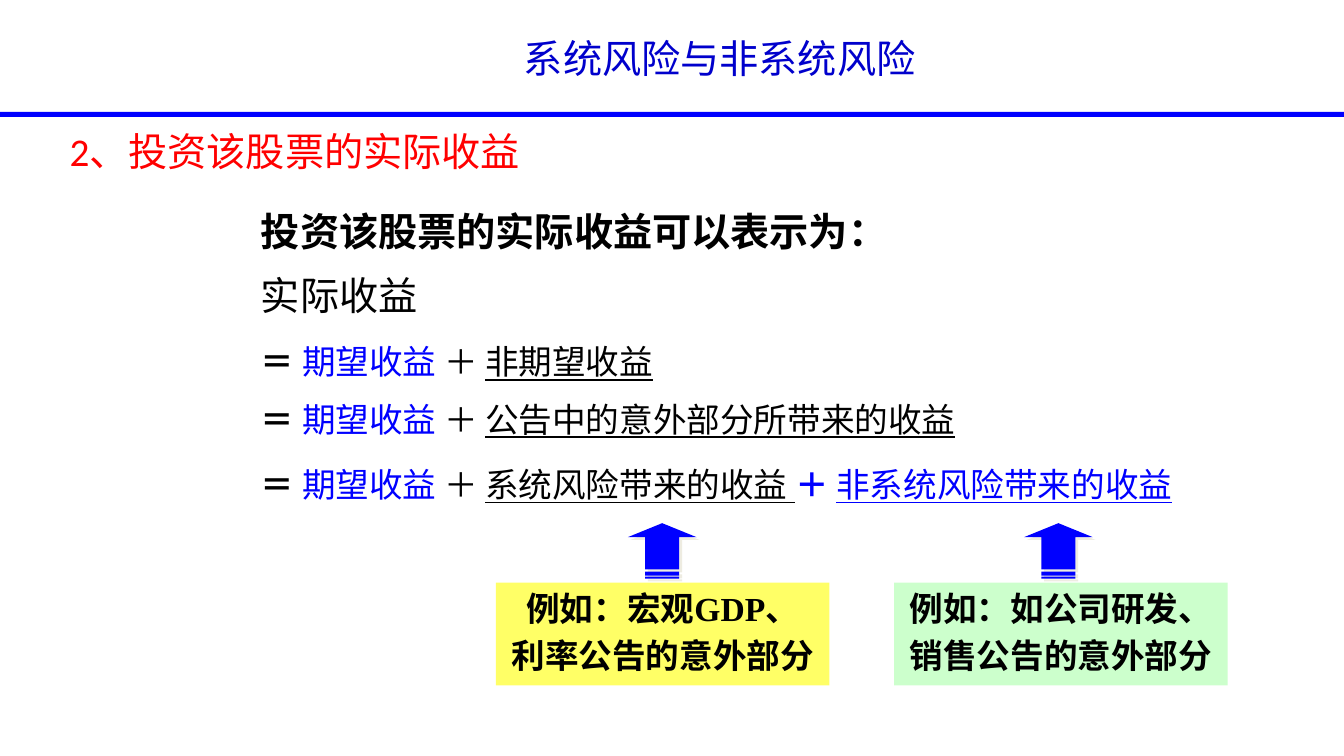
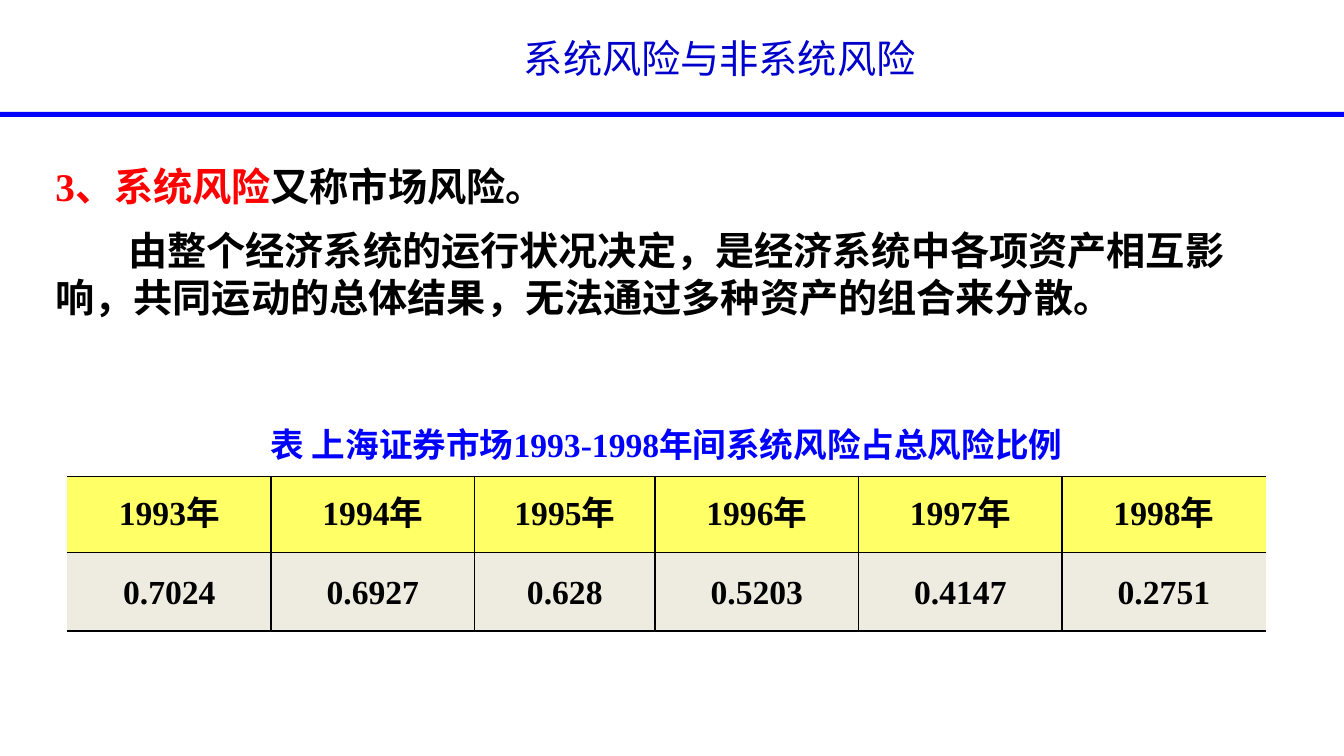
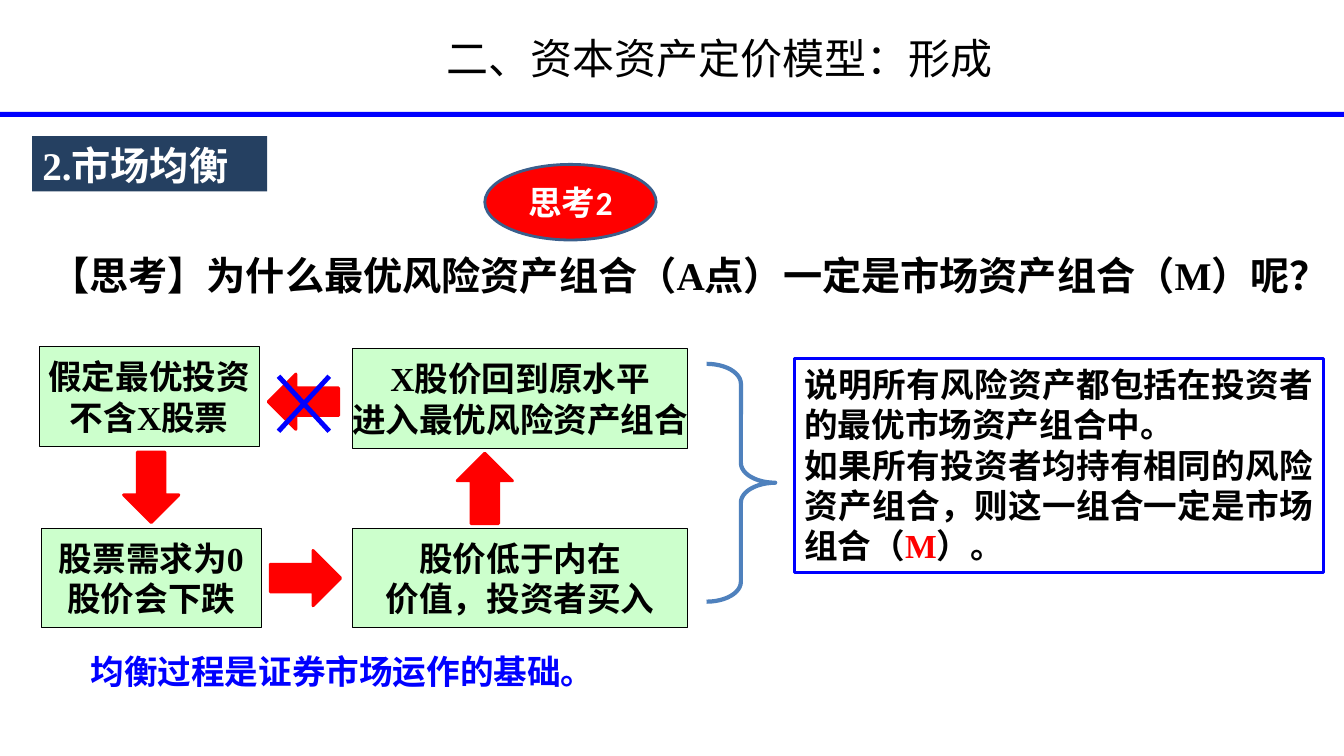
from lxml import etree
from pptx import Presentation
from pptx.dml.color import RGBColor
from pptx.enum import shapes as sh, text as tx
from pptx.oxml import ns
from pptx.util import Pt

BLUE = RGBColor(0x00, 0x00, 0xFF)
TITLE_BLUE = RGBColor(0x00, 0x00, 0xCC)
BRACE_BLUE = RGBColor(0x4F, 0x81, 0xBD)
OVAL_EDGE = RGBColor(0x3A, 0x5F, 0x8C)
NAVY = RGBColor(0x25, 0x40, 0x61)
RED = RGBColor(0xFF, 0x00, 0x00)
BLACK = RGBColor(0x00, 0x00, 0x00)
WHITE = RGBColor(0xFF, 0xFF, 0xFF)
GREEN = RGBColor(0xCC, 0xFF, 0xCC)
YELLOW = RGBColor(0xFF, 0xFF, 0x66)
BEIGE = RGBColor(0xEE, 0xEC, 0xE1)

SANS, SERIF, CJK = "Calibri", "Times New Roman", "Noto Sans CJK SC"
LINE = 1.2  # line height in relation to the text size
CENTER, JUSTIFY = tx.PP_ALIGN.CENTER, tx.PP_ALIGN.JUSTIFY
TOP, MIDDLE = tx.MSO_ANCHOR.TOP, tx.MSO_ANCHOR.MIDDLE
RECT = sh.MSO_SHAPE.RECTANGLE
NO_GRID_STYLE = "{2D5ABB26-0587-4C30-8999-92F81FD0307C}"

# ---- Content: a paragraph is (runs, options), a run is (text, options) ----
RISK_TITLE = "系统风险与非系统风险"
MODEL_TITLE = "二、资本资产定价模型：形成"

EQUALS = ("＝ ", dict(bold=True))
EXPECTED = ("期望收益", dict(color=BLUE))
PLUS = (" ＋ ", {})
UNDER = dict(underline=True)
RETURN_LINES = [
    ([("投资该股票的实际收益可以表示为：", dict(bold=True))], dict(size=28, scale=0.8)),
    ([("实际收益", {})], dict(size=28, scale=1.2, before=5.6)),
    ([EQUALS, EXPECTED, PLUS, ("非期望收益", UNDER)], dict(scale=1.4, before=4.8)),
    ([EQUALS, EXPECTED, PLUS, ("公告中的意外部分所带来的收益", UNDER)], dict(before=12)),
    ([EQUALS, EXPECTED, PLUS, ("系统风险带来的收益 ", UNDER),
      ("＋ ", dict(color=BLUE, bold=True)),
      ("非系统风险带来的收益", dict(color=BLUE, underline=True))], dict(before=18)),
]
EXAMPLES = [  # left, fill, arrow centre, lines
    (354.2, YELLOW, 473, ["例如：宏观GDP、", "利率公告的意外部分"]),
    (638.6, GREEN, 756, ["例如：如公司研发、", "销售公告的意外部分"]),
]
# Outlines of the up arrow and its two bars, measured from the tip
UP_ARROW = [
    [(-12.2, 10), (-12.2, 33.1), (12.2, 33.1), (12.2, 10), (24.5, 10), (0, 0), (-24.5, 10)],
    [(-12.2, 34.6), (12.2, 34.6), (12.2, 37.4), (-12.2, 37.4)],
    [(-12.2, 38.2), (12.2, 38.2), (12.2, 39.6), (-12.2, 39.6)],
]

MARKET_RISK = [
    ([("3、系统风险", dict(color=RED)), ("又称市场风险。", {})], {}),
    ([("由整个经济系统的运行状况决定，是经济系统中各项资产相互影响，"
       "共同运动的总体结果，无法通过多种资产的组合来分散。", {})], dict(before=12, indent=52)),
]
TABLE_CAPTION = "表 上海证券市场1993-1998年间系统风险占总风险比例"
RISK_SHARES = {"1993年": "0.7024", "1994年": "0.6927", "1995年": "0.628",
               "1996年": "0.5203", "1997年": "0.4147", "1998年": "0.2751"}
COLUMNS = [145.4, 145.4, 128.9, 145.4, 145.4, 145.4]
ROWS = [42.5, 54, 56.2]

QUESTION = "【思考】为什么最优风险资产组合（A点）一定是市场资产组合（M）呢？"
CONCLUSION = [
    ([("说明所有风险资产都包括在投资者的最优市场资产组合中。", {})], {}),
    ([("如果所有投资者均持有相同的风险资产组合，则这一组合一定是市场组合（", {}),
      ("M", dict(color=RED)), ("）。", {})], {}),
]
STEPS = [  # left, top, width, lines
    (28.1, 247.7, 157, ["假定最优投资", "不含X股票"]),
    (29.5, 377.3, 157, ["股票需求为0", "股价会下跌"]),
    (252, 377.3, 239, ["股价低于内在", "价值，投资者买入"]),
    (252, 249.1, 239, ["X股价回到原水平", "进入最优风险资产组合"]),
]
STEP_ARROWS = [(82.8, 328.3, 90), (193, 393.1, 0), (321.1, 329, 270), (191.5, 267.1, 180)]
BASIS = "均衡过程是证券市场运作的基础。"


# ---- Helpers ----
def box(left, top, width, height):
    return Pt(left), Pt(top), Pt(width), Pt(height)


def lines(texts, **options):
    return [([(line, {})], options if i else {}) for i, line in enumerate(texts)]


def write(frame, paragraphs, size=24, font=SERIF, color=BLACK, bold=False,
          align=None, anchor=TOP, wrap=True):
    frame.word_wrap = wrap
    frame.auto_size = tx.MSO_AUTO_SIZE.NONE
    frame.vertical_anchor = anchor
    for i, (runs, options) in enumerate(paragraphs):
        para = frame.add_paragraph() if i else frame.paragraphs[0]
        points = options.get("size", size)
        props = para._p.get_or_add_pPr()
        props.set("marL", "0")
        props.set("indent", str(Pt(options.get("indent", 0))))
        etree.SubElement(props, ns.qn("a:buNone"))
        para.alignment = align
        para.line_spacing = Pt(round(points * LINE * options.get("scale", 1), 1))
        para.space_before = Pt(options.get("before", 0))
        for words, look in runs:
            run = para.add_run()
            run.text = words
            run.font.size = Pt(points)
            run.font.bold = look.get("bold", bold)
            run.font.underline = look.get("underline", False)
            run.font.color.rgb = look.get("color", color)
            run.font.name = font
            east_asian = etree.SubElement(run._r.get_or_add_rPr(), ns.qn("a:ea"))
            east_asian.set("typeface", CJK)


def paint(shape, fill=None, edge=None, weight=1):
    shape.shadow.inherit = False
    if fill is None:
        shape.fill.background()
    else:
        shape.fill.solid()
        shape.fill.fore_color.rgb = fill
    if edge is None:
        shape.line.fill.background()
    else:
        shape.line.color.rgb = edge
        shape.line.width = Pt(weight)
    return shape


def add(slide, kind, place, **look):
    return paint(slide.shapes.add_shape(kind, *box(*place)), **look)


def add_text(slide, place, paragraphs, **look):
    write(slide.shapes.add_textbox(*box(*place)).text_frame, paragraphs, **look)


def add_slide(prs, layout, title, body_place, **title_look):
    slide = prs.slides.add_slide(layout)
    write(slide.shapes.title.text_frame, lines([title]), align=CENTER, anchor=MIDDLE, **title_look)
    body = slide.placeholders[1]
    body.left, body.top, body.width, body.height = box(*body_place)
    return slide, body


def add_up_arrow(slide, center, tip):
    builder = None
    for outline in UP_ARROW:
        points = [(Pt(center + x), Pt(tip + y)) for x, y in outline]
        if builder is None:
            builder = slide.shapes.build_freeform(*points[0])
        else:
            builder.move_to(*points[0])
        builder.add_line_segments(points[1:], close=True)
    arrow = paint(builder.convert_to_shape(), BLUE)
    effects = arrow._element.spPr.find(ns.qn("a:effectLst"))
    shadow = etree.SubElement(effects, ns.qn("a:outerShdw"), dist=str(Pt(2.8)), dir="2700000")
    etree.SubElement(shadow, ns.qn("a:srgbClr"), val=str(BEIGE))


def set_borders(cell, sides):
    props = cell._tc.get_or_add_tcPr()
    for i, side in enumerate(sides):
        edge = etree.Element(ns.qn("a:" + side), w=str(Pt(1)))
        fill = etree.SubElement(edge, ns.qn("a:solidFill"))
        etree.SubElement(fill, ns.qn("a:srgbClr"), val=str(BLACK))
        props.insert(i, edge)


def add_risk_table(slide):
    place = box(48.2, 298.1, sum(COLUMNS), sum(ROWS))
    table = slide.shapes.add_table(len(ROWS), len(COLUMNS), *place).table
    table.first_row = table.horz_banding = False
    table._tbl.tblPr.find(ns.qn("a:tableStyleId")).text = NO_GRID_STYLE
    for column, width in zip(table.columns, COLUMNS):
        column.width = Pt(width)
    for row, height in zip(table.rows, ROWS):
        row.height = Pt(height)

    caption = table.cell(0, 0)
    caption.merge(table.cell(0, len(COLUMNS) - 1))
    cells = [(caption, TABLE_CAPTION, BLUE, None, ["lnB"])]
    for c, pair in enumerate(RISK_SHARES.items()):
        sides = ["lnL"] * (c > 0) + ["lnR"] * (c < len(COLUMNS) - 1) + ["lnT", "lnB"]
        for r, (value, fill) in enumerate(zip(pair, (YELLOW, BEIGE)), 1):
            cells.append((table.cell(r, c), value, BLACK, fill, sides))
    for cell, value, color, fill, sides in cells:
        write(cell.text_frame, lines([value]), color=color, bold=True, align=CENTER)
        cell.vertical_anchor = MIDDLE
        if fill is None:
            cell.fill.background()
        else:
            cell.fill.solid()
            cell.fill.fore_color.rgb = fill
        set_borders(cell, sides)


# ---- Slides ----
def build_actual_return(prs, layout):
    slide, body = add_slide(prs, layout, RISK_TITLE, (42.5, 94.3, 677.5, 42),
                            size=28, font=SANS, color=TITLE_BLUE)
    write(body.text_frame, [([("2、投资该股票的实际收益", {})], dict(scale=0.8))],
          size=28, font=SANS, color=RED)
    add_text(slide, (179.3, 151.2, 708.5, 222), RETURN_LINES, font=CJK)
    for left, fill, center, example in EXAMPLES:
        frame = add(slide, RECT, (left, 416.2, 238.3, 73.4), fill=fill).text_frame
        write(frame, lines(example, before=4.8), bold=True, align=CENTER)
        add_up_arrow(slide, center, 373.7)
    return slide


def build_market_risk(prs, layout):
    slide, body = add_slide(prs, layout, RISK_TITLE, (32.4, 112.3, 861.8, 150),
                            size=28, font=SANS, color=TITLE_BLUE)
    write(body.text_frame, MARKET_RISK, size=28, bold=True)
    add_risk_table(slide)


def build_equilibrium(prs, layout):
    slide, body = add_slide(prs, layout, MODEL_TITLE, (23, 97.2, 167.8, 39.6), size=30)
    body.fill.solid()
    body.fill.fore_color.rgb = NAVY
    write(body.text_frame, lines(["2.市场均衡"]), size=28, color=WHITE, bold=True)

    add_text(slide, (28.8, 175.7, 915.8, 74), lines([QUESTION]), size=28, bold=True)
    oval = add(slide, sh.MSO_SHAPE.OVAL, (346.3, 117.4, 122.4, 54),
               fill=RED, edge=OVAL_EDGE, weight=2)
    write(oval.text_frame, lines(["思考2"]), font=SANS, color=WHITE, bold=True,
          align=CENTER, anchor=MIDDLE)

    # Cycle of four steps, the last arrow crossed out
    for left, top, width, step in STEPS:
        card = add(slide, RECT, (left, top, width, 71.3), fill=GREEN, edge=BLACK, weight=0.75)
        write(card.text_frame, lines(step), bold=True, align=CENTER, anchor=MIDDLE, wrap=False)
    for left, top, turn in STEP_ARROWS:
        arrow = add(slide, sh.MSO_SHAPE.RIGHT_ARROW, (left, top, 50.4, 39.6),
                    fill=RED, edge=RED, weight=2)
        arrow.rotation = turn
    cross = add(slide, sh.MSO_SHAPE.MATH_MULTIPLY, (182.2, 250.6, 69.8, 75.6), fill=BLUE)
    cross.adjustments[0] = 0.05

    # Conclusion
    brace = add(slide, sh.MSO_SHAPE.RIGHT_BRACE, (504.7, 259.9, 49, 169.9),
                edge=BRACE_BLUE, weight=3)
    brace.adjustments[0] = 0.29
    note = add(slide, RECT, (567.4, 256.3, 378, 152.6), edge=BLUE, weight=2.25)
    write(note.text_frame, CONCLUSION, bold=True, align=JUSTIFY)
    add_text(slide, (57.6, 461.5, 380.2, 36), lines([BASIS]), font=CJK, color=BLUE, bold=True)


def main():
    prs = Presentation()
    prs.slide_width, prs.slide_height = Pt(960), Pt(540)
    layout = prs.slide_layouts[1]
    heading = layout.placeholders[0]
    heading.left, heading.top, heading.width, heading.height = box(247.7, 13, 532.8, 56.2)

    first = build_actual_return(prs, layout)
    build_market_risk(prs, layout)
    build_equilibrium(prs, layout)

    # The blue band belongs to the layout, so every slide shows it
    band = add(first, RECT, (0, 80, 960, 3.6), fill=BLUE)
    layout.shapes._spTree.append(band._element)
    prs.save("out.pptx")


if __name__ == "__main__":
    main()
